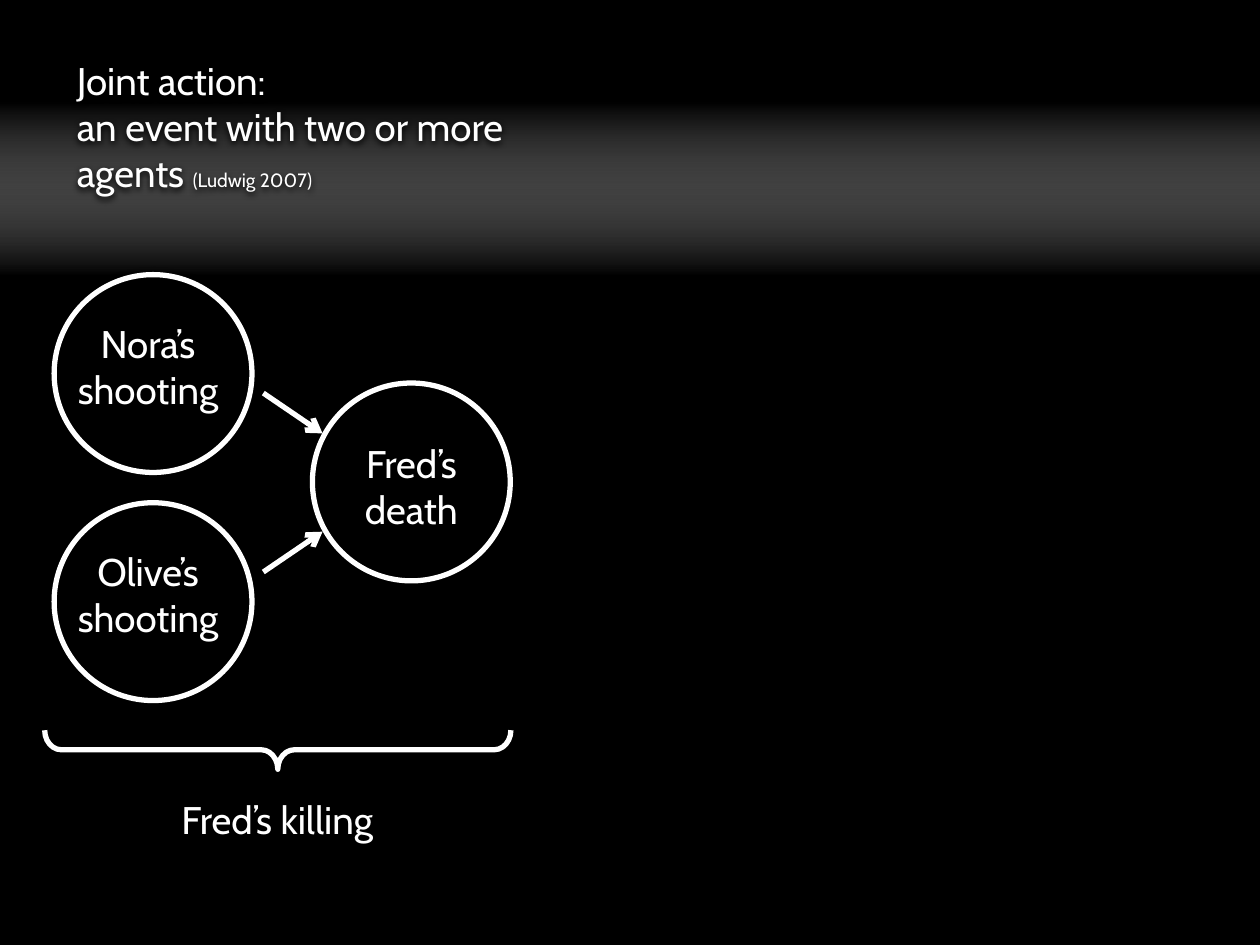
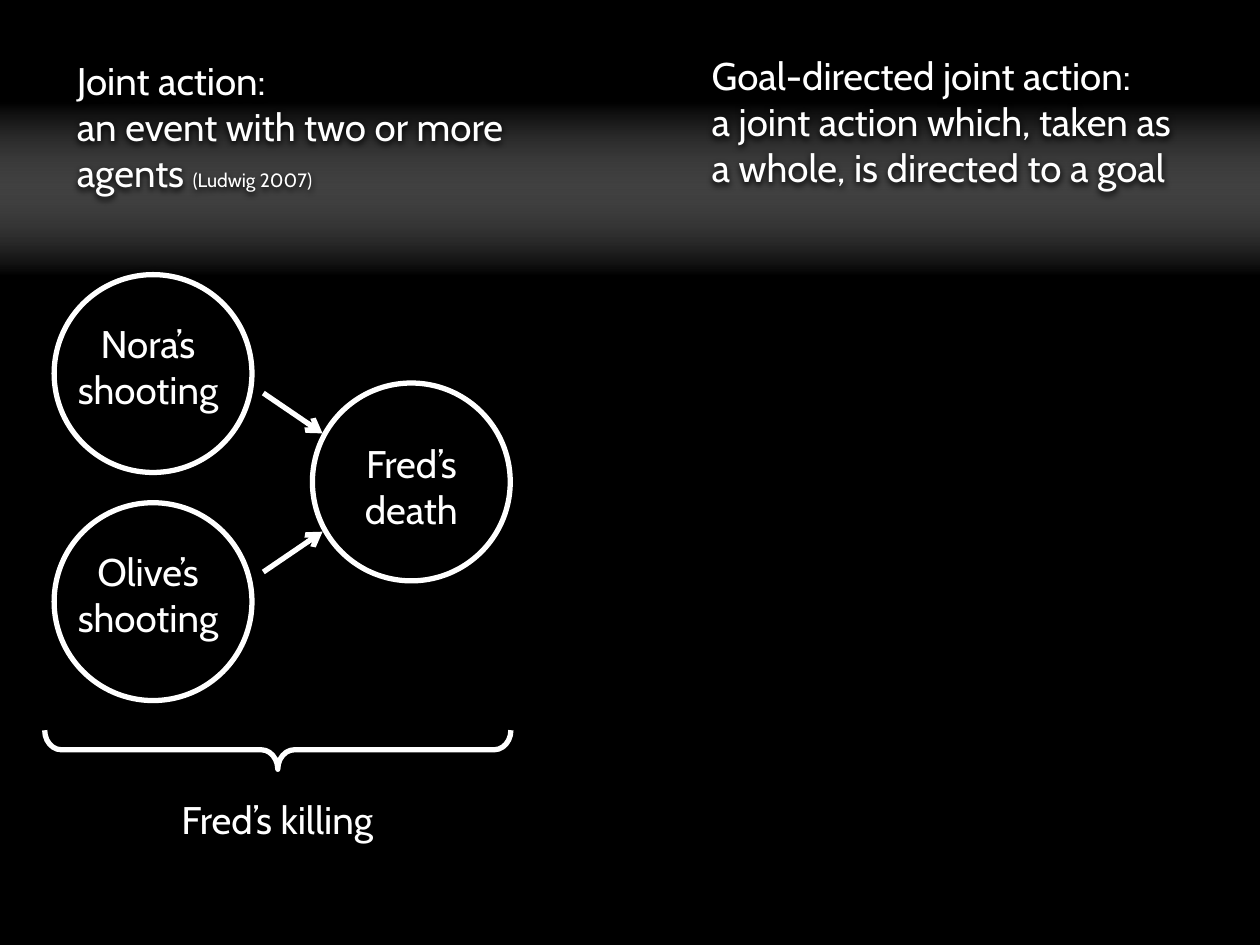
from lxml.etree import SubElement
from pptx import Presentation
from pptx.dml.color import RGBColor
from pptx.enum.shapes import MSO_CONNECTOR, MSO_SHAPE
from pptx.enum.text import MSO_ANCHOR, MSO_AUTO_SIZE, PP_ALIGN
from pptx.oxml.ns import qn
from pptx.util import Inches, Pt

RECT, OVAL, BRACE = MSO_SHAPE.RECTANGLE, MSO_SHAPE.OVAL, MSO_SHAPE.LEFT_BRACE
STRAIGHT = MSO_CONNECTOR.STRAIGHT
LEFT, CENTER = PP_ALIGN.LEFT, PP_ALIGN.CENTER
TOP, FIXED = MSO_ANCHOR.TOP, MSO_AUTO_SIZE.NONE
BLACK, WHITE = "000000", "FFFFFF"
FONT, SIZE, SMALL = "Cabin", 22, 11
RING = 1.57
TITLE = [["Joint action:"], ["an event with two or more agents ", "(Ludwig 2007)"]]
GOAL = [["Goal-directed joint action:"],
        ["a joint action which, taken as a whole, is directed to a goal"]]


def color(code):
    return RGBColor.from_string(code)


def node(parent, tag, **attrs):
    return SubElement(parent, qn(tag), attrs)


def stroke(line):
    line.color.rgb = color(WHITE)
    line.width = Pt(3)


def shade(shape):
    shape.shadow.inherit = False
    effects = shape._element.spPr.find(qn("a:effectLst"))
    glow = node(effects, "a:outerShdw", blurRad="50800", dist="12700",
                dir="5400000", algn="ctr", rotWithShape="0")
    node(glow, "a:srgbClr", val=BLACK)


def write(shape, lines, align):
    shape.fill.background()
    shade(shape)
    frame = shape.text_frame
    frame.word_wrap = True
    frame.auto_size = FIXED
    frame.vertical_anchor = TOP
    for i, parts in enumerate(lines):
        para = frame.add_paragraph() if i else frame.paragraphs[0]
        para.alignment = align
        para.font.name = FONT
        para.font.size = Pt(SIZE)
        para.font.color.rgb = color(WHITE)
        for j, part in enumerate(parts):
            run = para.add_run()
            run.text = part
            if j:
                run.font.size = Pt(SMALL)


def text(slide, lines, x, y, w, h, align=CENTER):
    box = slide.shapes.add_textbox(Inches(x), Inches(y), Inches(w), Inches(h))
    write(box, lines, align)


def head(slide):
    title = slide.shapes.title
    title.left, title.top = Inches(0.51), Inches(0.4)
    title.width, title.height = Inches(3.94), Inches(1.21)
    write(title, TITLE, LEFT)


def band(slide):
    bar = slide.shapes.add_shape(RECT, 0, Inches(0.8), Inches(10), Inches(1.38))
    bar.line.fill.background()
    bar.fill.gradient()
    bar.fill.gradient_angle = 270
    stops = bar._element.spPr.find(".//" + qn("a:gsLst"))
    for stop in list(stops):
        stops.remove(stop)
    for pos, code, alpha in ((0, BLACK, 0), (1, BLACK, 100), (100, WHITE, 0)):
        stop = node(stops, "a:gs", pos=str(pos * 1000))
        tint = node(stop, "a:srgbClr", val=code)
        node(tint, "a:alpha", val=str(alpha * 1000))
    bar.shadow.inherit = False
    slide.shapes._spTree.insert(2, bar._element)


def ring(slide, x, y):
    oval = slide.shapes.add_shape(OVAL, Inches(x), Inches(y), Inches(RING), Inches(RING))
    oval.fill.background()
    stroke(oval.line)
    shade(oval)


def arrow(slide, x1, y1, x2, y2):
    link = slide.shapes.add_connector(
        STRAIGHT, Inches(x1), Inches(y1), Inches(x2), Inches(y2))
    stroke(link.line)
    node(link.line._get_or_add_ln(), "a:tailEnd", type="arrow")
    node(link._element.spPr, "a:effectLst")


def brace(slide):
    curl = slide.shapes.add_shape(
        BRACE, Inches(2.05), Inches(4.1), Inches(0.31), Inches(3.7))
    curl.rotation = 270
    curl.adjustments[0] = 0.425
    curl.adjustments[1] = 0.5
    curl.fill.background()
    stroke(curl.line)
    shade(curl)


def scene(slide):
    for label, x, y in (("Nora’s shooting", 0.39, 2.49),
                        ("Olive’s shooting", 0.39, 4.3),
                        ("Fred’s death", 2.48, 3.44)):
        text(slide, [[label]], x, y, RING, 0.84)
    for x, y in ((0.43, 2.18), (0.43, 3.99), (2.48, 3.04)):
        ring(slide, x, y)
    for start, end in ((3.12, 3.44), (4.54, 4.22)):
        arrow(slide, 2.09, start, 2.56, end)
    brace(slide)
    text(slide, [["Fred’s killing"]], 0.47, 6.27, 3.46, 0.47)


def page(deck):
    slide = deck.slides.add_slide(deck.slide_layouts[5])
    back = slide.background.fill
    back.solid()
    back.fore_color.rgb = color(BLACK)
    band(slide)
    head(slide)
    scene(slide)
    return slide


def main():
    deck = Presentation()
    deck.slide_width, deck.slide_height = Inches(10), Inches(7.5)
    page(deck)
    last = page(deck)
    text(last, GOAL, 5.55, 0.36, 3.94, 1.58, LEFT)
    deck.save("out.pptx")


if __name__ == "__main__":
    main()
